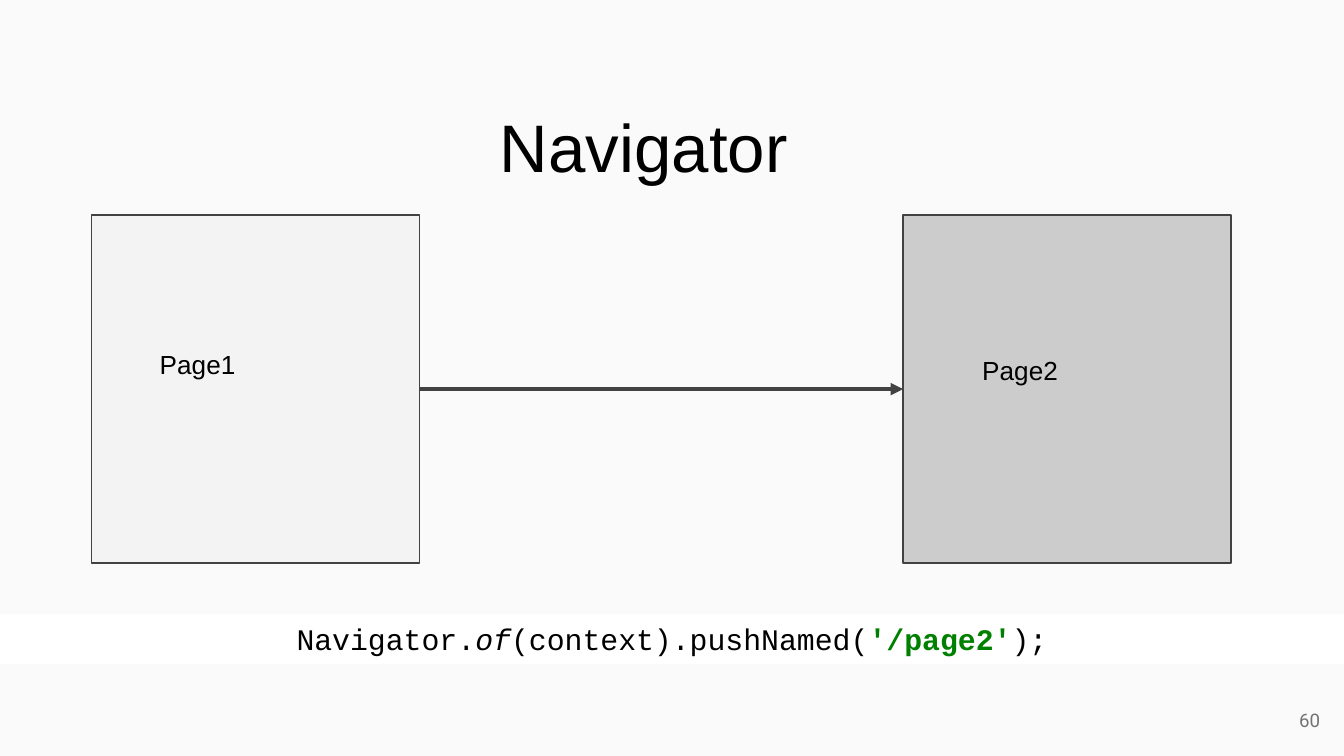
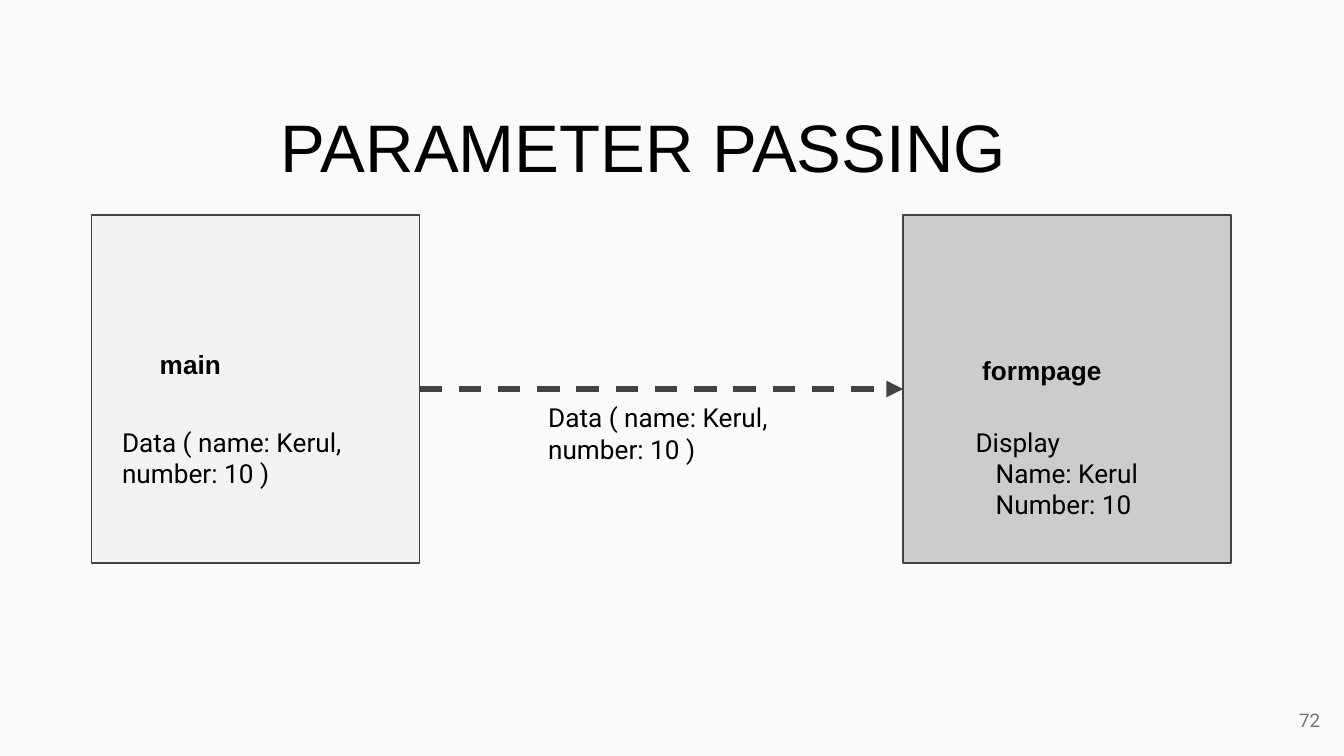
from lxml import etree
from pptx import Presentation
from pptx.dml.color import RGBColor
from pptx.enum.dml import MSO_LINE
from pptx.enum.shapes import MSO_CONNECTOR, MSO_SHAPE
from pptx.enum.text import MSO_ANCHOR, PP_ALIGN
from pptx.oxml.ns import qn
from pptx.util import Emu, Pt

PX = 9144  # 100 px to the inch
PAPER = RGBColor(0xFA, 0xFA, 0xFA)
WHITE = RGBColor(0xFF, 0xFF, 0xFF)
LIGHT = RGBColor(0xF3, 0xF3, 0xF3)
GREY = RGBColor(0xCC, 0xCC, 0xCC)
DARK = RGBColor(0x42, 0x42, 0x42)
MUTED = RGBColor(0x73, 0x73, 0x73)
BLACK = RGBColor(0x00, 0x00, 0x00)
GREEN = RGBColor(0x00, 0x80, 0x00)


def px(*values):
    return [Emu(v * PX) for v in values]


def add_text(s, text, box, size=14, font="Arial", color=BLACK, bold=False,
             align=PP_ALIGN.LEFT, anchor=MSO_ANCHOR.TOP, inset=10, indent=0, fill=None):
    """Each line is a string or a list of (text, font attributes) runs.

    Lines after the first are indented by indent px. A fill makes a rectangle.
    """
    if fill is None:
        sp = s.shapes.add_textbox(*px(*box))
    else:
        sp = s.shapes.add_shape(MSO_SHAPE.RECTANGLE, *px(*box))
        sp.shadow.inherit = False
        sp.fill.solid()
        sp.fill.fore_color.rgb = fill
        sp.line.fill.background()
    tf = sp.text_frame
    tf.word_wrap = True
    tf.vertical_anchor = anchor
    tf.margin_left, tf.margin_top, tf.margin_right, tf.margin_bottom = px(*[inset] * 4)
    for i, line in enumerate([text] if isinstance(text, str) else text):
        p = tf.paragraphs[0] if i == 0 else tf.add_paragraph()
        p.alignment = align
        if i and indent:
            p._p.get_or_add_pPr().set("marL", str(indent * PX))
        for run_text, style in [(line, {})] if isinstance(line, str) else line:
            r = p.add_run()
            r.text = run_text
            r.font.name, r.font.size = font, Pt(size)
            r.font.bold = style.get("bold", bold)
            r.font.italic = style.get("italic", False)
            r.font.color.rgb = style.get("color", color)


prs = Presentation()
prs.slide_width = Emu(1000 * PX)
prs.slide_height = Emu(prs.slide_width * 9 // 16)

# Title, page names, bold names, arrow width, arrow dash, slide number
DIAGRAMS = [
    ("Navigator", ("Page1", "Page2"), False, 2.25, None, "60"),
    ("PARAMETER PASSING", ("main", "formpage"), True, 3, MSO_LINE.DASH, "72"),
]

for title, names, bold, width, dash, number in DIAGRAMS:
    s = prs.slides.add_slide(prs.slide_layouts[6])
    s.background.fill.solid()
    s.background.fill.fore_color.rgb = PAPER

    # Pages
    pages = []
    for left, fill in ((68, LIGHT), (672, GREY)):
        sp = s.shapes.add_shape(MSO_SHAPE.RECTANGLE, *px(left, 160, 244, 259))
        sp.shadow.inherit = False
        sp.fill.solid()
        sp.fill.fore_color.rgb = fill
        sp.line.color.rgb = DARK
        sp.line.width = Pt(0.75)
        pages.append(sp)

    # Arrow from the first page to the second
    arrow = s.shapes.add_connector(MSO_CONNECTOR.STRAIGHT, *px(312, 289, 672, 289))
    arrow.begin_connect(pages[0], 3)
    arrow.end_connect(pages[1], 1)
    arrow.line.color.rgb = DARK
    arrow.line.width = Pt(width)
    if dash is not None:
        arrow.line.dash_style = dash
    etree.SubElement(arrow.line._get_or_add_ln(), qn("a:tailEnd"), type="triangle")
    etree.SubElement(arrow._element.spPr, qn("a:effectLst"))

    # Page names, title and slide number
    for name, (left, top) in zip(names, ((109, 249), (721, 254))):
        add_text(s, name, (left, top, 161, 71), bold=bold)
    add_text(s, title, (173, 68, 612, 92), size=36, align=PP_ALIGN.CENTER)
    add_text(s, number, (932, 514, 60, 43), size=10, font="Roboto", color=MUTED,
             align=PP_ALIGN.RIGHT, anchor=MSO_ANCHOR.MIDDLE)

navigator, passing = prs.slides

# Code band
code = [
    ("Navigator.", {}),
    ("of", {"italic": True}),
    ("(context).pushNamed(", {}),
    ("'/page2'", {"bold": True, "color": GREEN}),
    (");", {}),
]
add_text(navigator, [code], (0, 457, 1000, 37), size=16, font="Courier New",
         align=PP_ALIGN.CENTER, anchor=MSO_ANCHOR.MIDDLE, inset=0, fill=WHITE)

# Data sent, carried and displayed
data = ["Data ( name: Kerul,", "number: 10 )"]
display = ["Display", "Name: Kerul", "Number: 10"]
for lines, left, top, indent in ((data, 81, 307, 0), (data, 398, 289, 0),
                                 (display, 716, 307, 15)):
    add_text(passing, lines, (left, top, 188, 30), font="Roboto", indent=indent)

prs.save("out.pptx")
